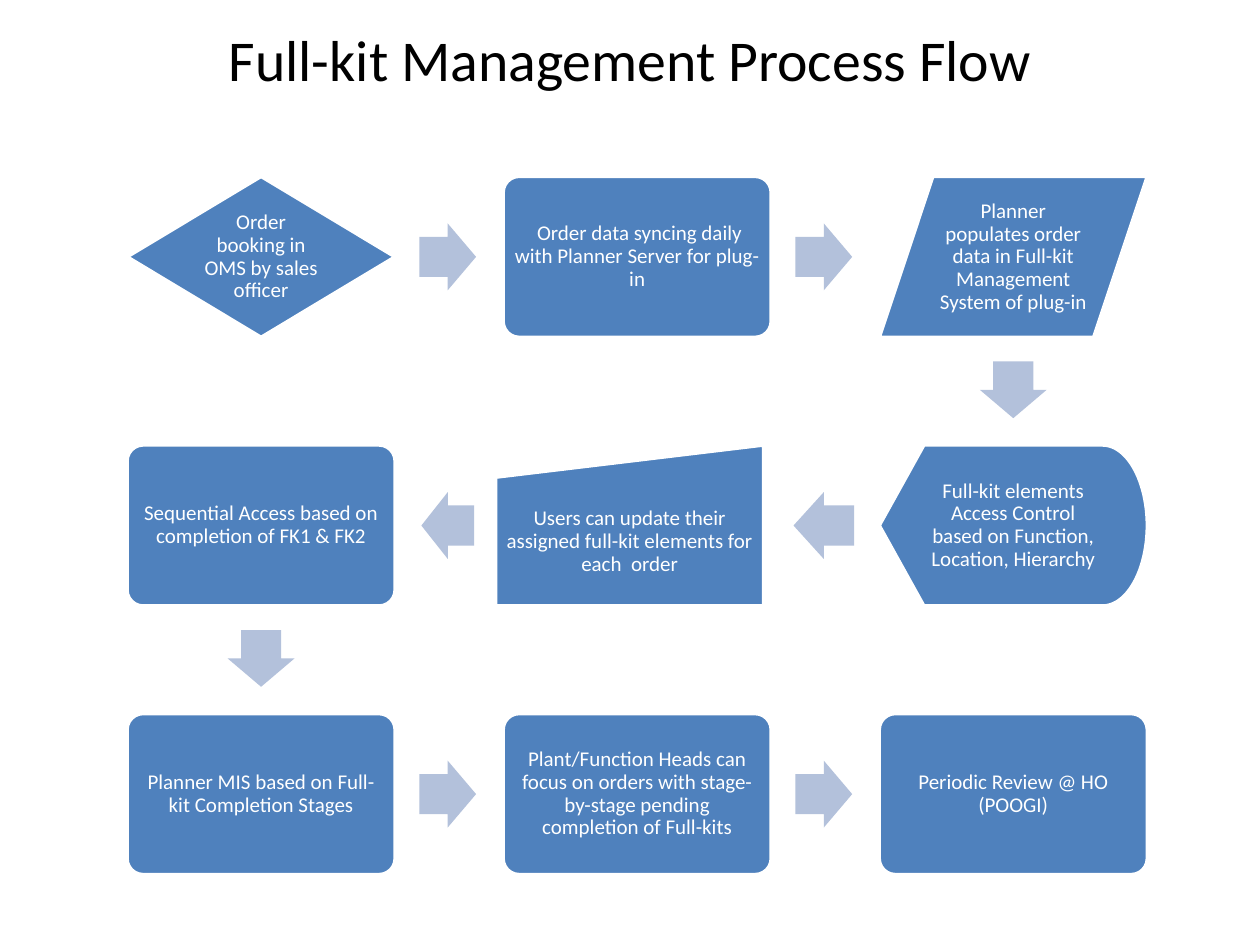
"""Build the full-kit management process flow slide."""
from pptx import Presentation
from pptx.dml.color import RGBColor
from pptx.enum.shapes import MSO_SHAPE as Preset
from pptx.enum.text import MSO_ANCHOR as Anchor, PP_ALIGN as Align
from pptx.util import Pt

TITLE = "Full-kit Management Process Flow"
STEPS = [
    (0, 0, Preset.FLOWCHART_DECISION, "Order booking in OMS by sales officer"),
    (1, 0, Preset.ROUNDED_RECTANGLE, " Order data syncing daily with Planner Server for plug-in"),
    (2, 0, Preset.FLOWCHART_DATA,
     "Planner populates order data in Full-kit Management System of plug-in"),
    (2, 1, Preset.FLOWCHART_DISPLAY,
     "Full-kit elements Access Control based on Function, Location, Hierarchy"),
    (1, 1, Preset.FLOWCHART_MANUAL_INPUT,
     "Users can update their assigned full-kit elements for each  order"),
    (0, 1, Preset.ROUNDED_RECTANGLE, "Sequential Access based on completion of FK1 & FK2"),
    (0, 2, Preset.ROUNDED_RECTANGLE, "Planner MIS based on Full-kit Completion Stages"),
    (1, 2, Preset.ROUNDED_RECTANGLE,
     "Plant/Function Heads can focus on orders with stage-by-stage pending completion of Full-kits"),
    (2, 2, Preset.ROUNDED_RECTANGLE, "Periodic Review @ HO (POOGI)"),
]
NUDGES = {Preset.FLOWCHART_MANUAL_INPUT: -4.3}
ARROW_LENGTHS = {3: 34.6, 4: 30.2}
ROTATIONS = {(1, 0): 0, (0, 1): 90, (-1, 0): 180}
LEFT, TOP, STEP_X, STEP_Y = 72.6, 100.8, 214.9, 153.5
BOX_WIDTH, BOX_HEIGHT = 153.2, 92
ARROW_LENGTH, ARROW_HEIGHT, ARROW_SHIFT = 32.4, 38.2, -0.8


def color(value):
    return RGBColor.from_string(value)


def write(shape, text, size, font_color):
    frame = shape.text_frame
    frame.word_wrap = True
    frame.vertical_anchor = Anchor.MIDDLE
    frame.margin_left = frame.margin_right = Pt(3.6)
    frame.margin_top = frame.margin_bottom = Pt(3.6)
    paragraph = frame.paragraphs[0]
    paragraph.alignment = Align.CENTER
    run = paragraph.add_run()
    run.text = text
    run.font.name = "Calibri"
    run.font.size = Pt(size)
    run.font.color.rgb = color(font_color)
    return paragraph


def add_shape(slide, preset, center, width, height, fill):
    x, y = center
    shape = slide.shapes.add_shape(
        preset, Pt(x - width / 2), Pt(y - height / 2), Pt(width), Pt(height))
    shape.shadow.inherit = False
    shape.fill.solid()
    shape.fill.fore_color.rgb = color(fill)
    return shape


def cell_center(column, row):
    return LEFT + column * STEP_X + BOX_WIDTH / 2, TOP + row * STEP_Y + BOX_HEIGHT / 2


def add_step(slide, column, row, preset, text):
    x, y = cell_center(column, row)
    box = add_shape(slide, preset, (x + NUDGES.get(preset, 0), y),
                    BOX_WIDTH, BOX_HEIGHT, "4F81BD")
    box.line.color.rgb = color("FFFFFF")
    box.line.width = Pt(2)
    if preset == Preset.ROUNDED_RECTANGLE:
        box.adjustments[0] = 0.1
    paragraph = write(box, text, 12, "FFFFFF")
    paragraph.line_spacing = 0.9
    paragraph.space_after = Pt(4.2)


def add_arrow(slide, start, end, length):
    across, down = end[0] - start[0], end[1] - start[1]
    (x1, y1), (x2, y2) = cell_center(*start), cell_center(*end)
    center = ((x1 + x2) / 2 + ARROW_SHIFT * abs(across),
              (y1 + y2) / 2 + ARROW_SHIFT * abs(down))
    arrow = add_shape(slide, Preset.RIGHT_ARROW, center, length, ARROW_HEIGHT, "B3C1DB")
    arrow.line.fill.background()
    arrow.adjustments[0] = 0.6
    arrow.adjustments[1] = 0.5
    arrow.rotation = ROTATIONS[across, down]


def main():
    presentation = Presentation()
    presentation.slide_width, presentation.slide_height = Pt(720), Pt(540)
    slide = presentation.slides.add_slide(presentation.slide_layouts[6])
    title = slide.shapes.add_textbox(Pt(49.7), Pt(10.8), Pt(620.6), Pt(44.6))
    write(title, TITLE, 33, "000000")
    for index, step in enumerate(STEPS):
        add_step(slide, *step)
        if index + 1 < len(STEPS):
            add_arrow(slide, step[:2], STEPS[index + 1][:2],
                      ARROW_LENGTHS.get(index, ARROW_LENGTH))
    presentation.save("out.pptx")


if __name__ == "__main__":
    main()
